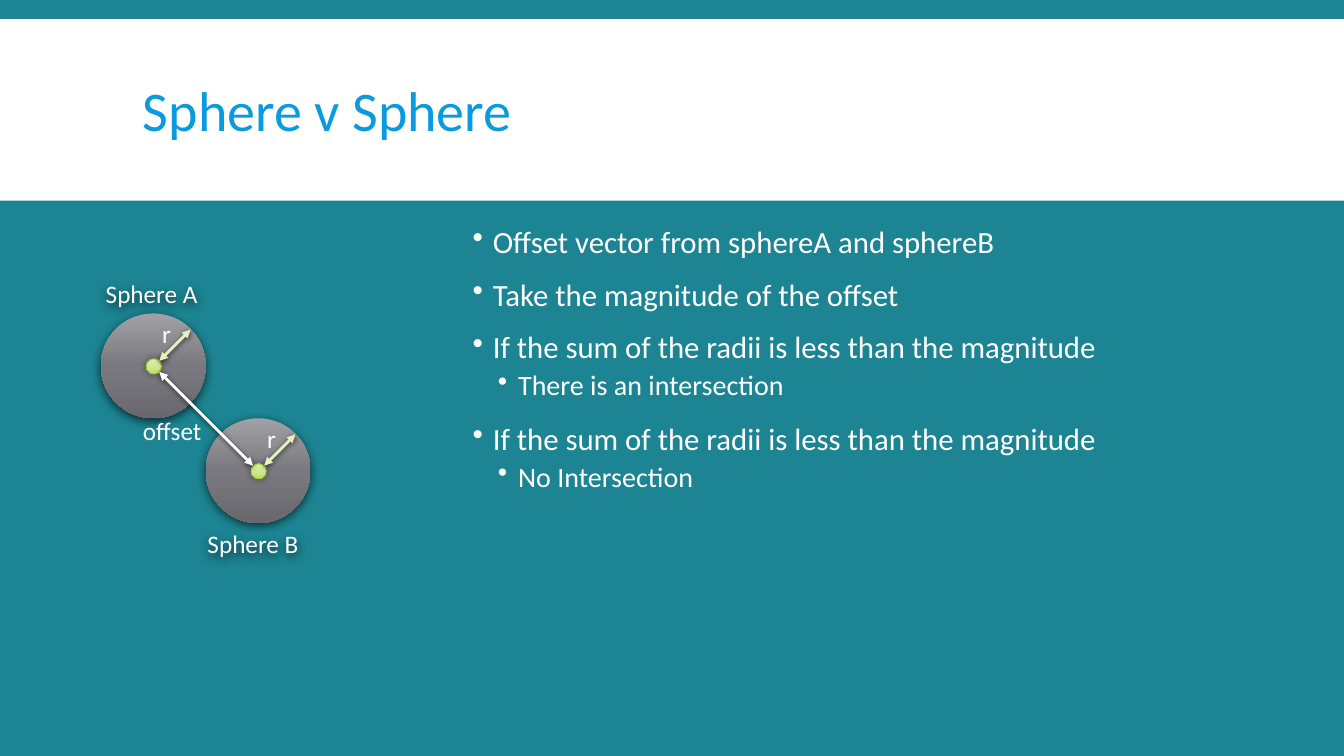
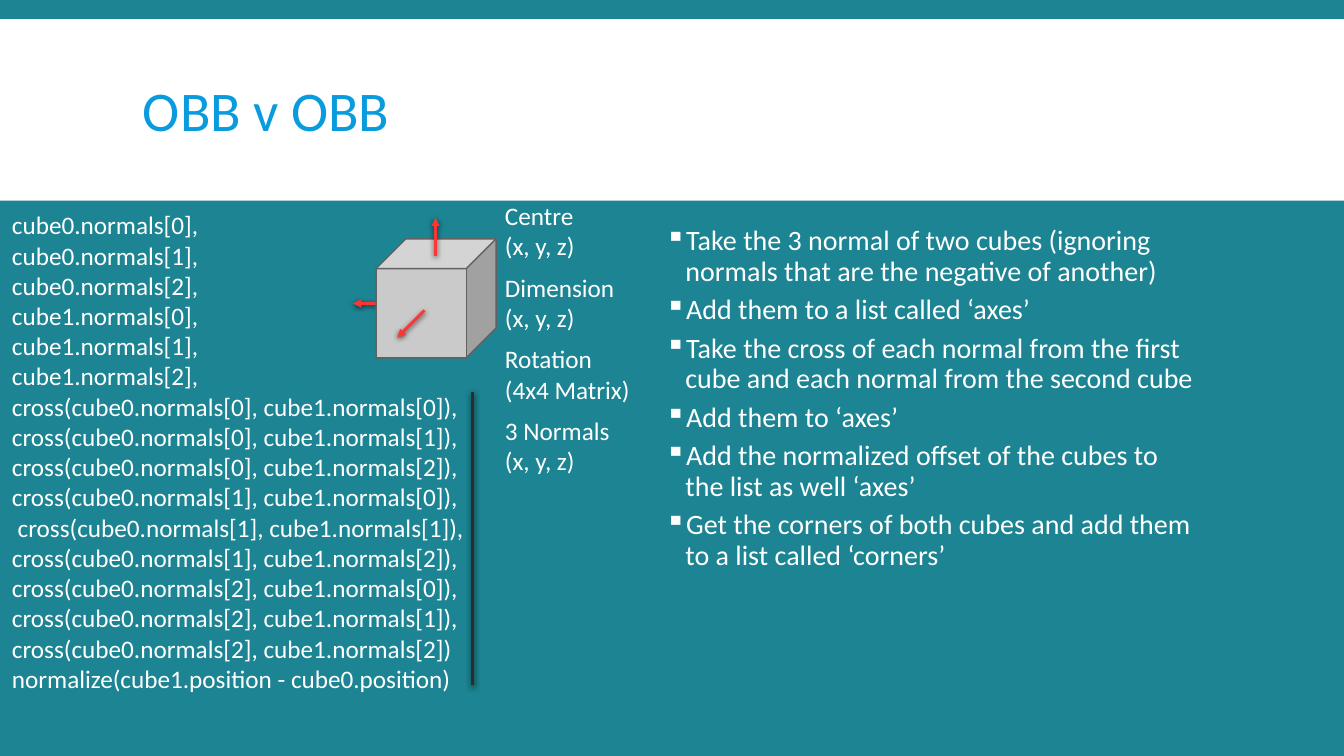
import lxml.etree
import pptx
import pptx.dml.color
import pptx.enum.shapes
import pptx.enum.text
import pptx.oxml.ns
import pptx.util

SCALE = 9144
FONT = "Calibri"
TEAL = "1C8492"
WHITE = "FFFFFF"
TITLE_BLUE = "099BDD"
RED = "FD3535"
PALE_GREEN = "E4F2BC"
SPHERE_GRADIENT = ("A1A1A5", "79797F", "68686D")
CENTRE_GRADIENT = ("D8EDB3", "CDEA9A", "BAE26A")
SPHERE_SHADOW = (63, 7, 2.2)
CENTRE_SHADOW = (40, 5, 0)
LINE_SHADOW = (68, 4, 1.2)
DIAMETER = 104
CENTRE_SIZE = 15

Shapes = pptx.enum.shapes.MSO_SHAPE
Anchor = pptx.enum.text.MSO_ANCHOR

SPHERE_STEPS = (
    (0, "Offset vector from sphereA and sphereB"),
    (0, "Take the magnitude of the offset"),
    (0, "If the sum of the radii is less than the magnitude"),
    (1, "There is an intersection"),
    (0, "If the sum of the radii is less than the magnitude"),
    (1, "No Intersection"),
)
BOX_STEPS = (
    (1, "Take the 3 normal of two cubes (ignoring normals that are the negative of another)"),
    (1, "Add them to a list called ‘axes’"),
    (1, "Take the cross of each normal from the first cube and each normal from the second cube"),
    (1, "Add them to ‘axes’"),
    (1, "Add the normalized offset of the cubes to the list as well ‘axes’"),
    (1, "Get the corners of both cubes and add them to a list called ‘corners’"),
)
AXES = (
    "cube0.normals[0],",
    "cube0.normals[1],",
    "cube0.normals[2],",
    "cube1.normals[0],",
    "cube1.normals[1],",
    "cube1.normals[2],",
    "cross(cube0.normals[0], cube1.normals[0]),",
    "cross(cube0.normals[0], cube1.normals[1]),",
    "cross(cube0.normals[0], cube1.normals[2]),",
    "cross(cube0.normals[1], cube1.normals[0]),",
    " cross(cube0.normals[1], cube1.normals[1]),",
    "cross(cube0.normals[1], cube1.normals[2]),",
    "cross(cube0.normals[2], cube1.normals[0]),",
    "cross(cube0.normals[2], cube1.normals[1]),",
    "cross(cube0.normals[2], cube1.normals[2])",
    "normalize(cube1.position - cube0.position)",
)
PROPERTIES = (
    ("Centre", "(x, y, z)"),
    ("Dimension", "(x, y, z)"),
    ("Rotation", "(4x4 Matrix)"),
    ("3 Normals", "(x, y, z)"),
)


def px(*lengths):
    return [pptx.util.Emu(length * SCALE) for length in lengths]


def rgb(color):
    return pptx.dml.color.RGBColor.from_string(color)


def add_element(parent, tag, **attributes):
    name = pptx.oxml.ns.qn("a:" + tag)
    return lxml.etree.SubElement(parent, name, attributes)


def set_font(paragraph, size, color=WHITE):
    paragraph.font.name = FONT
    paragraph.font.size = pptx.util.Pt(size)
    paragraph.font.color.rgb = rgb(color)


def add_shadow(shape, opacity, blur, distance):
    effects = add_element(shape._element.spPr, "effectLst")
    shadow = add_element(
        effects, "outerShdw", blurRad=str(pptx.util.Pt(blur)),
        dist=str(pptx.util.Pt(distance)), dir="5400000", rotWithShape="0")
    color = add_element(shadow, "srgbClr", val="000000")
    add_element(color, "alpha", val=str(opacity * 1000))


def add_text(slide, box, lines, size=18, color=WHITE):
    shape = slide.shapes.add_textbox(*px(*box))
    frame = shape.text_frame
    frame.word_wrap = True
    frame.text = "\n".join(lines)
    for paragraph in frame.paragraphs:
        set_font(paragraph, size, color)
    return shape


def add_bullets(slide, box, items, mark):
    frame = slide.shapes.add_textbox(*px(*box)).text_frame
    frame.word_wrap = True
    frame.text = "\n".join(text for level, text in items)
    for paragraph, (level, text) in zip(frame.paragraphs, items):
        paragraph.level = level
        paragraph.line_spacing = 0.9
        paragraph.space_before = pptx.util.Pt(2 if level else 12)
        paragraph.space_after = pptx.util.Pt(4 if level else 2)
        properties = paragraph._p.get_or_add_pPr()
        margin, indent = px(45 if level else 20, -20)
        properties.set("marL", str(margin))
        properties.set("indent", str(indent))
        add_element(add_element(properties, "buClr"), "srgbClr", val=WHITE)
        add_element(properties, "buChar", char=mark)
        set_font(paragraph, 20 if level else 22)


def add_shape(slide, kind, box, fill=None, line=None, width=1):
    shape = slide.shapes.add_shape(kind, *px(*box))
    if fill:
        shape.fill.solid()
        shape.fill.fore_color.rgb = rgb(fill)
    if line:
        shape.line.color.rgb = rgb(line)
        shape.line.width = pptx.util.Pt(width)
    else:
        shape.line.fill.background()
    return shape


def add_gradient_circle(slide, centre, size, colors, shadow, line=None):
    x, y = centre
    box = (x - size // 2, y - size // 2, size, size)
    shape = add_shape(slide, Shapes.OVAL, box, line=line, width=0.75)
    shape.fill.gradient()
    shape.fill.gradient_angle = 270
    stop_list = shape._element.spPr.find(".//" + pptx.oxml.ns.qn("a:gsLst"))
    stop_list.clear()
    for position, color in zip((0, 50000, 100000), colors):
        stop = add_element(stop_list, "gs", pos=str(position))
        add_element(stop, "srgbClr", val=color)
    add_shadow(shape, *shadow)


def add_line(slide, start, end, color, heads=()):
    connector = slide.shapes.add_connector(
        pptx.enum.shapes.MSO_CONNECTOR.STRAIGHT, *px(*start, *end))
    connector.line.color.rgb = rgb(color)
    connector.line.width = pptx.util.Pt(2)
    outline = connector._element.spPr.find(pptx.oxml.ns.qn("a:ln"))
    for head in heads:
        add_element(outline, head, type="triangle")
    add_shadow(connector, *LINE_SHADOW)


def add_sphere(slide, centre, label, label_box):
    x, y = centre
    add_gradient_circle(slide, centre, DIAMETER, SPHERE_GRADIENT, SPHERE_SHADOW)
    add_gradient_circle(
        slide, centre, CENTRE_SIZE, CENTRE_GRADIENT, CENTRE_SHADOW, "A5D028")
    add_text(slide, (x - 1, y - 52, 21, 40), ["r"])
    add_line(slide, (x + 6, y - 5), (x + 37, y - 36), PALE_GREEN,
             ("headEnd", "tailEnd"))
    add_shadow(add_text(slide, label_box, [label]), *SPHERE_SHADOW)


def add_slide(presentation, title):
    slide = presentation.slides.add_slide(presentation.slide_layouts[6])
    band = add_shape(slide, Shapes.RECTANGLE, (0, 19, 1333, 180), WHITE)
    band.shadow.inherit = False
    heading = add_text(slide, (132, 31, 1070, 165), [title], 40, TITLE_BLUE)
    heading.text_frame.vertical_anchor = Anchor.MIDDLE
    heading.text_frame.paragraphs[0].line_spacing = 0.85
    return slide


def build_sphere_slide(presentation):
    slide = add_slide(presentation, "Sphere v Sphere")
    add_bullets(slide, (459, 220, 742, 460), SPHERE_STEPS, "•")
    x, y = 152, 363
    add_sphere(slide, (x, y), "Sphere A", (95, 271, 115, 40))
    add_sphere(slide, (x + DIAMETER, y + DIAMETER), "Sphere B",
               (196, 519, 120, 40))
    add_text(slide, (132, 407, 134, 40), ["offset"])
    add_line(slide, (158, 369), (251, 462), WHITE, ("headEnd", "tailEnd"))


def build_box_slide(presentation):
    slide = add_slide(presentation, "OBB v OBB")
    add_text(slide, (2, 203, 485, 495), AXES)
    add_bullets(slide, (625, 220, 576, 460), BOX_STEPS, "▪")
    for index, lines in enumerate(PROPERTIES):
        add_text(slide, (491, 194 + 71 * index, 150, 71), lines)
    add_line(slide, (388, 301), (350, 301), RED, ["tailEnd"])
    cube = add_shape(slide, Shapes.CUBE, (373, 237, 119, 118), "CACACA", "616161")
    cube.shadow.inherit = False
    add_line(slide, (432, 254), (432, 216), RED, ["tailEnd"])
    add_line(slide, (421, 308), (394, 335), RED, ["tailEnd"])
    add_line(slide, (469, 389), (469, 680), "2C2C2C")


def main():
    presentation = pptx.Presentation()
    presentation.slide_width, presentation.slide_height = px(1333, 750)
    background = presentation.slide_master.background.fill
    background.solid()
    background.fore_color.rgb = rgb(TEAL)
    build_sphere_slide(presentation)
    build_box_slide(presentation)
    presentation.save("out.pptx")


if __name__ == "__main__":
    main()
